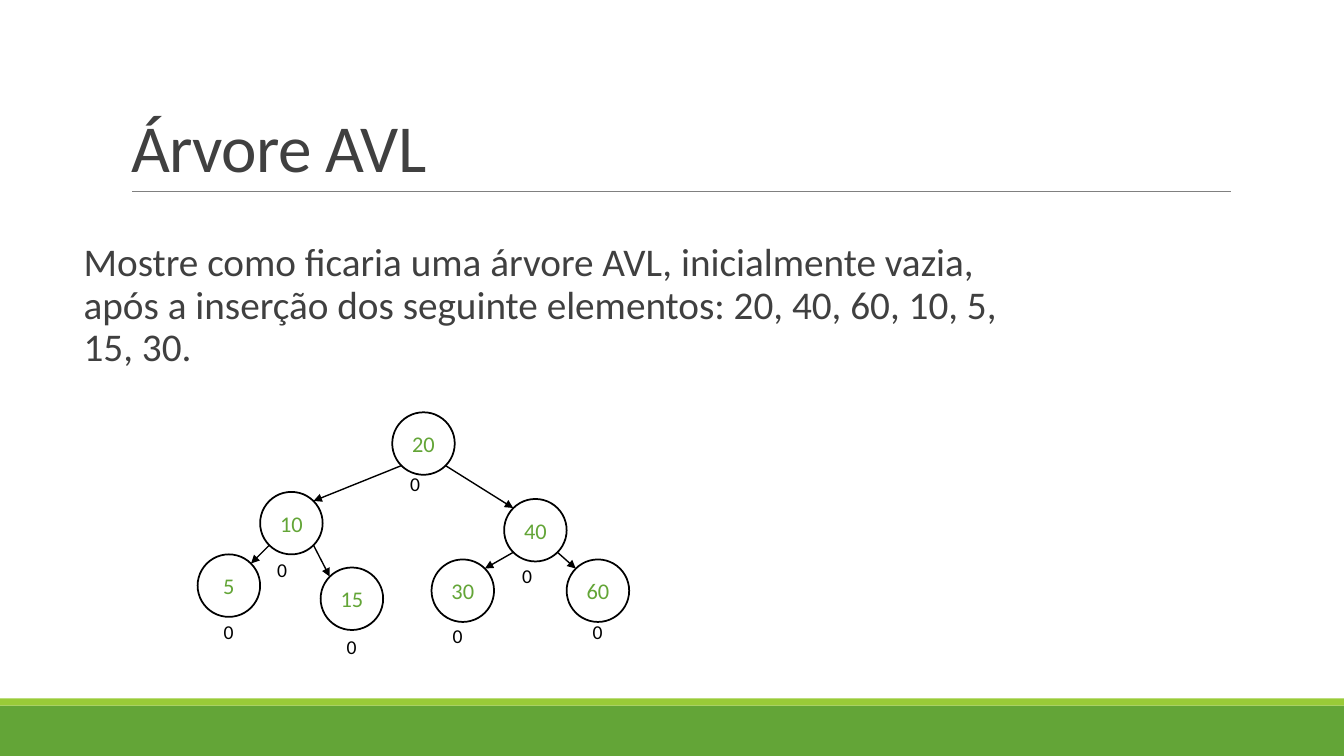
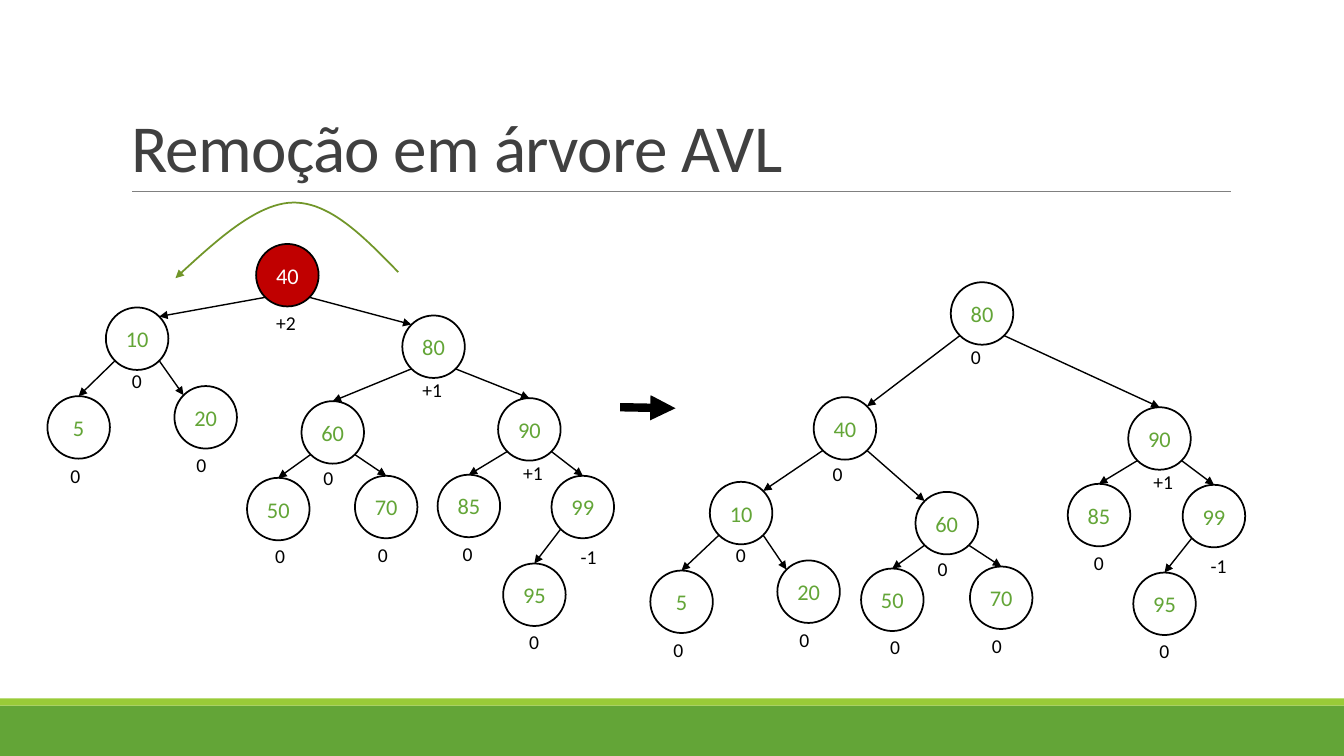
from dataclasses import dataclass

from lxml import etree
from pptx import Presentation
from pptx import util as u
from pptx.dml.color import RGBColor
from pptx.enum import shapes, text
from pptx.oxml.ns import qn


@dataclass(frozen=True)
class Theme:
    font: str = "Calibri"
    green: str = "63A537"
    lime: str = "99CB38"
    olive: str = "719629"
    red: str = "C00000"
    gray: str = "808080"
    dark: str = "404040"
    black: str = "000000"
    white: str = "FFFFFF"
    title_size: int = 48
    body_size: int = 28
    key_size: int = 16
    balance_size: int = 14


theme = Theme()


def write(frame, words, size, color, align=text.PP_ALIGN.LEFT, leading=1.0, before=0, after=0):
    para = frame.paragraphs[0]
    para.alignment = align
    para.line_spacing = leading
    para.space_before, para.space_after = u.Pt(before), u.Pt(after)
    span = para.add_run()
    span.text = words
    span.font.name, span.font.size = theme.font, u.Pt(size)
    span.font.color.rgb = RGBColor.from_string(color)


def stroke(shape, color, width, arrow=False):
    shape.line.color.rgb = RGBColor.from_string(color)
    shape.line.width = u.Pt(width)
    properties = shape.element.spPr
    if arrow:
        etree.SubElement(properties.find(qn("a:ln")), qn("a:tailEnd"), type="triangle")
    etree.SubElement(properties, qn("a:effectLst"))


deck = Presentation()
deck.slide_width, deck.slide_height = u.Inches(13.33), u.Inches(7.5)
master = deck.slide_master

# Shared title and list styles
master_title = master.placeholders[0]
master_title.left, master_title.top = u.Inches(1.2), u.Inches(0.31)
master_title.width, master_title.height = u.Inches(11), u.Inches(1.59)
master_title.text_frame.vertical_anchor = text.MSO_ANCHOR.BOTTOM
title_style = master.element.find(".//" + qn("p:titleStyle") + "/" + qn("a:lvl1pPr"))
title_style.find(qn("a:defRPr")).set("spc", "-50")
list_style = master.element.find(".//" + qn("p:bodyStyle") + "/" + qn("a:lvl1pPr"))
list_style.set("marL", str(u.Inches(0.1)))
list_style.set("indent", "0")
list_style.replace(list_style.find(qn("a:buChar")), etree.Element(qn("a:buNone")))

# Slides with their titles
pages = []
for layout, heading in ((1, "Árvore AVL"), (5, "Remoção em árvore AVL")):
    page = deck.slides.add_slide(deck.slide_layouts[layout])
    frame = page.shapes.title.text_frame
    frame.auto_size = text.MSO_AUTO_SIZE.NONE
    write(frame, heading, theme.title_size, theme.dark, leading=0.85)
    pages.append(page)
insertion, removal = pages

# Bands and title rule, moved onto the master
decor = []
for top, height, color in ((7, 0.5, theme.green), (6.93, 0.07, theme.lime)):
    band = insertion.shapes.add_shape(
        shapes.MSO_SHAPE.RECTANGLE, 0, u.Inches(top), deck.slide_width, u.Inches(height))
    band.shadow.inherit = False
    band.fill.solid()
    band.fill.fore_color.rgb = RGBColor.from_string(color)
    band.line.fill.background()
    decor.append(band)
rule = insertion.shapes.add_connector(
    shapes.MSO_CONNECTOR.STRAIGHT, u.Inches(1.31), u.Inches(1.9), u.Inches(12.21), u.Inches(1.9))
stroke(rule, theme.gray, 0.5)
decor.append(rule)
for number, part in enumerate(decor, 20):
    part.element.find(".//" + qn("p:cNvPr")).set("id", str(number))
    master_title.element.addprevious(part.element)

# Exercise statement
body = insertion.placeholders[1]
body.left, body.top = u.Inches(0.73), u.Inches(2.36)
body.width, body.height = u.Inches(9.4), u.Inches(4.24)
frame = body.text_frame
frame.auto_size = text.MSO_AUTO_SIZE.NONE
frame.margin_left = frame.margin_right = 0
write(frame, "Mostre como ficaria uma árvore AVL, inicialmente vazia, após a inserção dos "
      "seguinte elementos: 20, 40, 60, 10, 5, 15, 30.",
      theme.body_size, theme.dark, leading=0.9, before=12, after=2)

# Trees: key, parent, node left and top, balance, balance left and top
exercise_tree = [
    (20, None, 3.89, 4.09, "0", 3.97, 4.63),
    (10, 20, 2.58, 4.88, "0", 2.65, 5.49),
    (40, 20, 5, 4.95, "0", 5.08, 5.55),
    (5, 10, 1.96, 5.5, "0", 2.12, 6.1),
    (15, 10, 3.18, 5.63, "0", 3.34, 6.25),
    (30, 40, 4.28, 5.55, "0", 4.39, 6.14),
    (60, 40, 5.62, 5.55, "0", 5.78, 6.1),
]
unbalanced_tree = [
    (40, None, 2.54, 2.42, "+2", 2.64, 3.04),
    (10, 40, 1.05, 3.05, "0", 1.21, 3.61),
    (80, 40, 3.99, 3.13, "+1", 4.09, 3.7),
    (5, 10, 0.47, 3.93, "0", 0.6, 4.55),
    (20, 10, 1.73, 3.83, "0", 1.85, 4.44),
    (60, 80, 2.99, 3.98, "0", 3.11, 4.57),
    (90, 80, 4.94, 3.95, "+1", 5.09, 4.52),
    (50, 60, 2.45, 4.74, "0", 2.63, 5.35),
    (70, 60, 3.52, 4.72, "0", 3.65, 5.34),
    (85, 90, 4.34, 4.71, "0", 4.49, 5.33),
    (99, 90, 5.47, 4.72, "-1", 5.66, 5.36),
    (95, 99, 4.99, 5.59, "0", 5.15, 6.2),
]
rotated_tree = [
    (80, None, 9.43, 2.8, "0", 9.53, 3.37),
    (40, 80, 8.07, 3.94, "0", 8.16, 4.53),
    (90, 80, 11.19, 4.04, "+1", 11.34, 4.61),
    (10, 40, 7.04, 4.78, "0", 7.2, 5.34),
    (60, 40, 9.08, 4.88, "0", 9.2, 5.48),
    (5, 10, 6.45, 5.66, "0", 6.58, 6.28),
    (20, 10, 7.71, 5.56, "0", 7.83, 6.18),
    (50, 60, 8.54, 5.64, "0", 8.73, 6.25),
    (70, 60, 9.62, 5.62, "0", 9.74, 6.24),
    (85, 90, 10.59, 4.8, "0", 10.75, 5.42),
    (99, 90, 11.73, 4.81, "-1", 11.91, 5.45),
    (95, 99, 11.24, 5.68, "0", 11.4, 6.29),
]
# Each tree: slide, nodes, highlighted key, keys whose arrow lands on the shoulder of the circle
trees = [
    (insertion, exercise_tree, None, {10, 40, 5, 15, 30, 60}),
    (removal, unbalanced_tree, 40, {10, 80, 20}),
    (removal, rotated_tree, None, {40, 10, 60, 20}),
]
diameter = 0.62
near, far = 0.09, 0.53  # diagonal points of the circle, measured from its box
balance_width = {"0": 0.31, "-1": 0.36, "+1": 0.4, "+2": 0.4}

for page, tree, highlight, shoulders in trees:
    corner = {key: (left, top) for key, _, left, top, *_ in tree}
    for key, parent, left, top, balance, balance_left, balance_top in tree:
        # Node
        node = page.shapes.add_shape(
            shapes.MSO_SHAPE.OVAL, u.Inches(left), u.Inches(top),
            u.Inches(diameter), u.Inches(diameter))
        color = theme.green
        node.fill.background()
        if key == highlight:
            color = theme.white
            node.fill.solid()
            node.fill.fore_color.rgb = RGBColor.from_string(theme.red)
        stroke(node, theme.black, 1.25)
        frame = node.text_frame
        frame.margin_left = frame.margin_right = 0
        frame.vertical_anchor = text.MSO_ANCHOR.MIDDLE
        write(frame, str(key), theme.key_size, color, align=text.PP_ALIGN.CENTER)

        # Balance factor
        box = page.shapes.add_textbox(
            u.Inches(balance_left), u.Inches(balance_top),
            u.Inches(balance_width[balance]), u.Inches(0.34))
        box.text_frame.word_wrap = False
        box.text_frame.auto_size = text.MSO_AUTO_SIZE.SHAPE_TO_FIT_TEXT
        write(box.text_frame, balance, theme.balance_size, theme.black)

        # Arrow from the parent
        if parent is None:
            continue
        parent_left, parent_top = corner[parent]
        start, end = (near, far) if left < parent_left else (far, near)
        drop = near
        if key not in shoulders:
            end, drop = diameter / 2, 0
        edge = page.shapes.add_connector(
            shapes.MSO_CONNECTOR.STRAIGHT,
            u.Inches(parent_left + start), u.Inches(parent_top + far),
            u.Inches(left + end), u.Inches(top + drop))
        stroke(edge, theme.black, 1, arrow=True)

# Rotation arc, traced along two cubic curves
arc = [
    ((3.95, 2.7), (3.61, 2.35), (3.27, 2), (2.9, 2.01)),
    ((2.9, 2.01), (2.54, 2.02), (2.14, 2.39), (1.74, 2.76)),
]
steps = 24
points = []
for curve in arc:
    for step in range(1, steps + 1):
        t = step / steps
        weights = ((1 - t) ** 3, 3 * t * (1 - t) ** 2, 3 * t ** 2 * (1 - t), t ** 3)
        points.append(tuple(
            u.Inches(sum(w * point[axis] for w, point in zip(weights, curve)))
            for axis in (0, 1)))
builder = removal.shapes.build_freeform(u.Inches(3.95), u.Inches(2.7))
builder.add_line_segments(points, close=False)
rotation = builder.convert_to_shape()
rotation.fill.background()
stroke(rotation, theme.olive, 1.25, arrow=True)

# Arrow between the two trees
transition = removal.shapes.add_connector(
    shapes.MSO_CONNECTOR.STRAIGHT, u.Inches(6.15), u.Inches(4.04), u.Inches(6.7), u.Inches(4.05))
stroke(transition, theme.black, 6, arrow=True)

deck.save("out.pptx")
